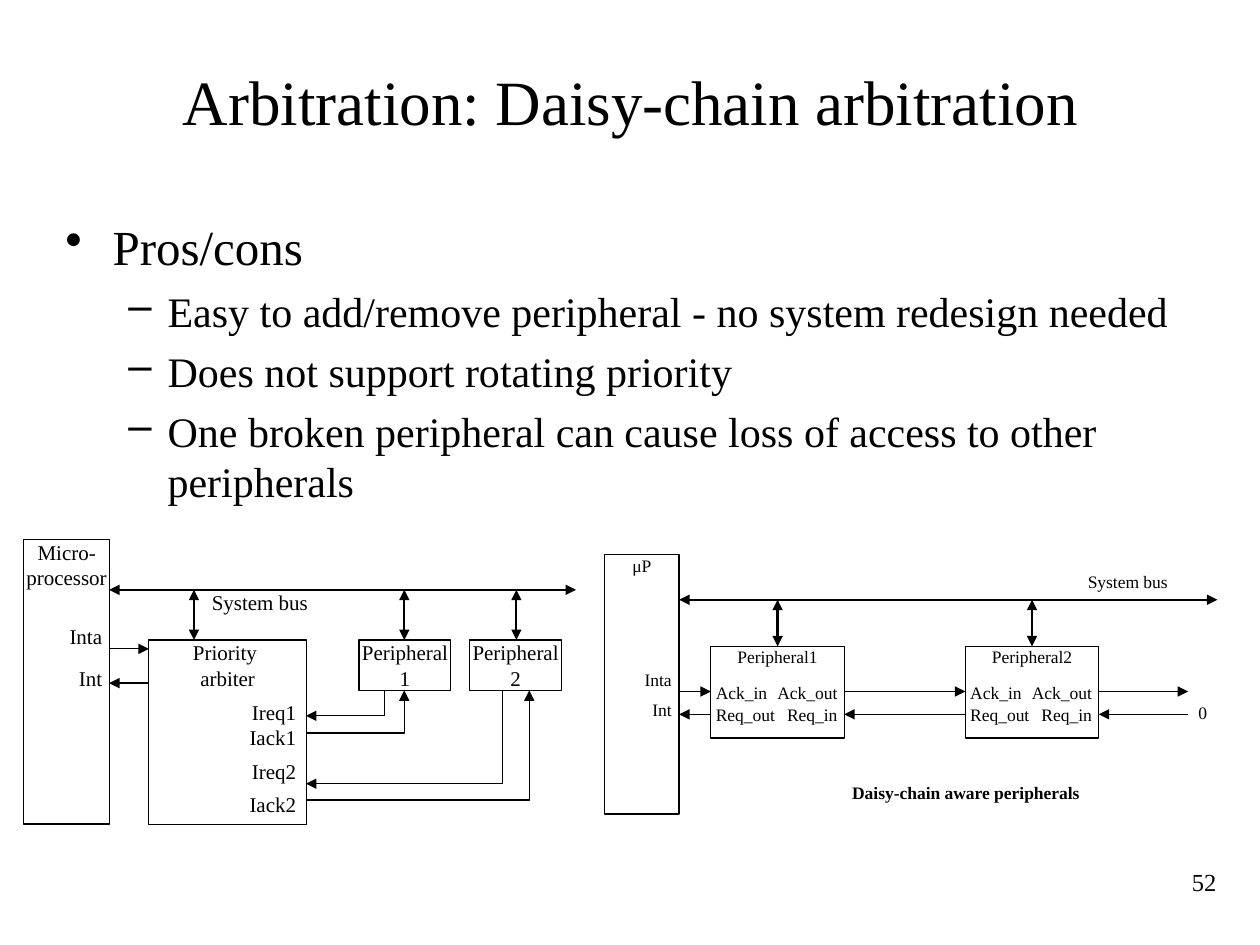
import pptx
import pptx.util
import pptx.dml.color
import pptx.enum.shapes
import pptx.enum.text
import pptx.oxml.ns
import lxml.etree

Cm, Pt = pptx.util.Cm, pptx.util.Pt
qn = pptx.oxml.ns.qn
ALIGN = pptx.enum.text.PP_ALIGN
LEFT, CENTER, RIGHT = ALIGN.LEFT, ALIGN.CENTER, ALIGN.RIGHT
RECT = pptx.enum.shapes.MSO_SHAPE.RECTANGLE
STRAIGHT = pptx.enum.shapes.MSO_CONNECTOR.STRAIGHT
BLACK = pptx.dml.color.RGBColor(0, 0, 0)
WHITE = pptx.dml.color.RGBColor(255, 255, 255)
FONT = "Times New Roman"


def write(sp, text, size=10, align=LEFT, bold=False, margins=(0, 0),
          anchor=pptx.enum.text.MSO_ANCHOR.TOP, bullet=None, level=0,
          left=0, hang=0, before=0):
    """Add one paragraph to a shape, filling its empty first one if any."""
    tf = sp.text_frame
    tf.word_wrap = True
    tf.vertical_anchor = anchor
    tf.margin_left = tf.margin_right = Cm(margins[0])
    tf.margin_top = tf.margin_bottom = Cm(margins[1])
    p = tf.add_paragraph() if tf.text else tf.paragraphs[0]
    p.alignment = align
    p.level = level
    p.space_before = Pt(before)
    if bullet:
        pPr = p._p.get_or_add_pPr()
        pPr.set("marL", str(Cm(left)))
        pPr.set("indent", str(-Cm(hang)))
        lxml.etree.SubElement(pPr, qn("a:buChar")).set("char", bullet)
    r = p.add_run()
    r.text = text
    r.font.name, r.font.size, r.font.bold = FONT, Pt(size), bold
    r.font.color.rgb = BLACK


def arrow(shapes, *points, width=0.75, both=False):
    """Draw an arrow through the points, its head at the last one."""
    pts = [(Cm(x), Cm(y)) for x, y in points]
    if len(pts) == 2:
        sp = shapes.add_connector(STRAIGHT, *pts[0], *pts[1])
    else:
        builder = shapes.build_freeform(*pts[0])
        builder.add_line_segments(pts[1:], close=False)
        sp = builder.convert_to_shape()
        sp.fill.background()
    sp.line.color.rgb = BLACK
    sp.line.width = Pt(width)
    ln = sp.line._get_or_add_ln()
    for end in ("a:headEnd", "a:tailEnd") if both else ("a:tailEnd",):
        lxml.etree.SubElement(ln, qn(end)).set("type", "triangle")
    lxml.etree.SubElement(sp._element.spPr, qn("a:effectLst"))


prs = pptx.Presentation()
prs.slide_width, prs.slide_height = Cm(25.4), Cm(19.05)
s = prs.slides.add_slide(prs.slide_layouts[5])

# Title
title = s.shapes.title
title.left, title.top, title.width, title.height = Cm(1.07), Cm(0.43), Cm(23.29), Cm(3.18)
write(title, "Arbitration: Daisy-chain arbitration", size=36, align=CENTER,
      margins=(0, 0.13), anchor=pptx.enum.text.MSO_ANCHOR.MIDDLE)

# Bullets
body = s.shapes.add_textbox(Cm(1.07), Cm(4.24), Cm(23.29), Cm(12.5))
write(body, "Pros/cons", size=28, margins=(0.25, 0.13), bullet="•", left=0.95, hang=0.95)
for text in ("Easy to add/remove peripheral - no system redesign needed",
             "Does not support rotating priority",
             "One broken peripheral can cause loss of access to other peripherals"):
    write(body, text, size=24, margins=(0.25, 0.13), bullet="–", level=1,
          left=2.06, hang=0.79, before=5.5)

# Slide number
number = s.shapes.add_textbox(Cm(22.23), Cm(17.35), Cm(2.54), Cm(1.27))
write(number, "52", size=14, align=RIGHT, margins=(0.25, 0.13))

# Contents of the two diagrams: boxes and labels as (text, x, y, w, h)
daisy_x, daisy_w = (14.33, 19.46), 2.69
ack_y, req_y = 13.94, 14.4
daisy_boxes = [("μP", 12.19, 11.18, 1.5, 5.23)]
daisy_labels = [("System bus", 21.44, 11.51, 2.59, CENTER),
                ("Inta", 12.78, 13.49, 0.76, RIGHT),
                ("Int", 12.78, 14.1, 0.76, RIGHT),
                ("0", 24.16, 14.15, 0.33, LEFT)]
for i, x in enumerate(daisy_x, 1):
    daisy_boxes.append((f"Peripheral{i}", x, 13.03, daisy_w, 1.85))
    for row, y in (("Ack", 13.74), ("Req", 14.2)):
        first, second = ("in", "out") if row == "Ack" else ("out", "in")
        daisy_labels += [(f"{row}_{first}", x + 0.1, y, 1.3, LEFT),
                         (f"{row}_{second}", x + 1.25, y, 1.3, RIGHT)]

arbiter_boxes = [("Micro-processor", 0.48, 10.87, 1.73, 5.74),
                 ("Priority \narbiter", 3, 12.9, 3.18, 3.73),
                 ("Peripheral1", 7.24, 12.9, 1.85, 1.02),
                 ("Peripheral2", 9.47, 12.9, 1.85, 1.02)]
arbiter_labels = [("System bus", 3.78, 11.89, 2.92, CENTER),
                  ("Inta", 1.26, 12.57, 0.8, RIGHT),
                  ("Int", 1.26, 13.41, 0.8, RIGHT),
                  ("Ireq1", 4.9, 14.1, 1.07, RIGHT),
                  ("Iack1", 4.9, 14.6, 1.07, RIGHT),
                  ("Ireq2", 4.9, 15.29, 1.07, RIGHT),
                  ("Iack2", 4.9, 15.95, 1.07, RIGHT)]

# Bus as (left, right, y), its taps as x values with their lower end
diagrams = [
    (10, daisy_boxes, daisy_labels, (13.69, 24.54, 12.09),
     [x + daisy_w / 2 for x in daisy_x], 13.03),
    (12, arbiter_boxes, arbiter_labels, (2.2, 11.61, 11.89),
     [3.91, 8.15, 10.41], 12.9),
]
groups = []
for size, boxes, labels, (bus_left, bus_right, bus_y), taps, tap_end in diagrams:
    shapes = s.shapes.add_group_shape().shapes
    groups.append(shapes)
    for text, x, y, w, h in boxes:
        sp = shapes.add_shape(RECT, Cm(x), Cm(y), Cm(w), Cm(h))
        sp.shadow.inherit = False
        sp.fill.solid()
        sp.fill.fore_color.rgb = WHITE
        sp.line.color.rgb = BLACK
        sp.line.width = Pt(0.75)
        for line in text.split("\n"):
            write(sp, line, size=size, align=CENTER)
    for text, x, y, w, align in labels:
        sp = shapes.add_textbox(Cm(x), Cm(y), Cm(w), Cm(0.5))
        write(sp, text, size=size, align=align)
    arrow(shapes, (bus_left, bus_y), (bus_right, bus_y), width=1.25, both=True)
    for x in taps:
        arrow(shapes, (x, bus_y), (x, tap_end), width=1.25, both=True)

# Daisy chain: acknowledge runs right, request runs left
daisy, arbiter = groups
for start, end in ((13.69, 14.33), (17.02, 19.46), (22.15, 23.95)):
    arrow(daisy, (start, ack_y), (end, ack_y))
    arrow(daisy, (end, req_y), (start, req_y))
caption = daisy.add_textbox(Cm(16.03), Cm(15.77), Cm(6.88), Cm(0.61))
write(caption, "Daisy-chain aware peripherals", align=CENTER, bold=True)

# Arbiter: interrupt lines, then request and acknowledge for each peripheral
arrow(arbiter, (2.2, 13.08), (3, 13.08))
arrow(arbiter, (3, 13.77), (2.2, 13.77))
edge, base = 6.17, 13.92
for req_x, req_row, ack_x, ack_row in ((7.75, 14.43, 8.15, 14.78),
                                       (10.13, 15.8, 10.67, 16.13)):
    arrow(arbiter, (req_x, base), (req_x, req_row), (edge, req_row))
    arrow(arbiter, (edge, ack_row), (ack_x, ack_row), (ack_x, base))

prs.save("out.pptx")
